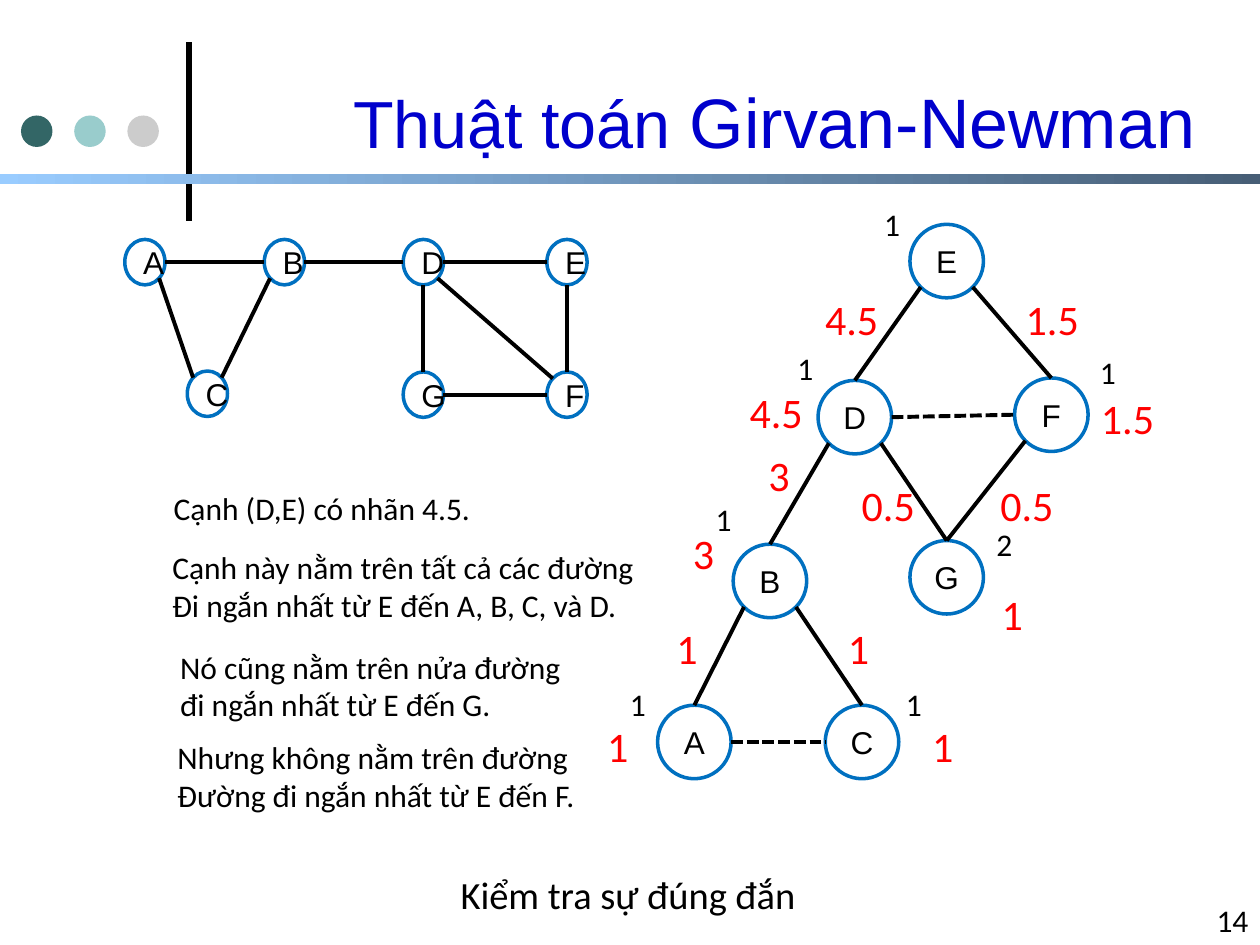
from pptx import Presentation
from pptx.dml import color
from pptx.enum import dml, shapes, text
from pptx.oxml import ns
from pptx.util import Pt
from lxml import etree

COLORS = {
    "ink": "000000", "title": "0000CC", "node": "0070C0", "credit": "FF0000",
    "dark_dot": "336666", "mid_dot": "99CCCC", "light_dot": "CCCCCC",
    "bar_start": "99CCFF", "bar_end": "475E76",
}
DIAGONAL = 0.5 ** 0.5
PORTS = {
    "top": (0, -1), "bottom": (0, 1), "left": (-1, 0), "right": (1, 0),
    "top left": (-DIAGONAL, -DIAGONAL), "top right": (DIAGONAL, -DIAGONAL),
    "bottom left": (-DIAGONAL, DIAGONAL), "bottom right": (DIAGONAL, DIAGONAL),
}

NETWORK_SIZE = (23, 26)
NETWORK_NODES = {
    "A": (71.3, 136.8), "D": (230.4, 136.8), "C": (107, 212), "E": (312.5, 136.8),
    "F": (312.5, 212.5), "G": (230.4, 212.5), "B": (151, 136.8),
}
NETWORK_EDGES = [
    ("A", "right", "B", "left"), ("A", "bottom right", "C", "top left"),
    ("C", "top right", "B", "bottom left"), ("B", "right", "D", "left"),
    ("D", "right", "E", "left"), ("D", "bottom", "G", "top"),
    ("E", "bottom", "F", "top"), ("G", "right", "F", "left"),
    ("D", "bottom right", "F", "top left"),
]

TREE_SIZE = (42, 42)
TREE_NODES = {
    "A": (375.8, 403), "D": (467.5, 217.4), "C": (471.6, 403), "E": (520, 128.2),
    "F": (579.8, 216), "G": (520, 308.9), "B": (419, 311),
}
TREE_EDGES = [
    ("E", "bottom left", "D", "top"), ("E", "bottom right", "F", "top"),
    ("D", "bottom right", "G", "top"), ("F", "bottom left", "G", "top"),
    ("D", "bottom left", "B", "top"), ("B", "bottom left", "A", "top"),
    ("B", "bottom right", "C", "top"),
]
SAME_LEVEL_EDGES = [("D", "right", "F", "left"), ("A", "right", "C", "left")]

PATH_COUNTS = [
    ("1", 498.2, 113.8), ("1", 510.5, 388), ("1", 448.6, 195.8), ("1", 621.4, 198),
    ("2", 562.3, 296.6), ("1", 401.8, 282.2), ("1", 352.8, 388),
]
CREDITS = [
    ("4.5", 421.2, 217.4), ("1.5", 622, 221), ("4.5", 464.4, 164.2), ("1.5", 579, 164.2),
    ("1", 339.8, 408.2), ("1", 565.2, 332.6), ("1", 525.6, 408.2), ("1", 379.4, 352),
    ("1", 477.4, 352), ("3", 388.8, 298), ("3", 432, 253.4), ("0.5", 485.3, 270.7),
    ("0.5", 564.5, 270.7),
]
NOTES = [
    ("Cạnh (D,E) có nhãn 4.5.", 92.2, 275.8, 184.3),
    ("Cạnh này nằm trên tất cả các đường\nĐi ngắn nhất từ E đến A, B, C, và D.", 91.4, 309.6, 279.4),
    ("Nó cũng nằm trên nửa đường\nđi ngắn nhất từ E đến G.", 95.8, 366.5, 236.2),
    ("Nhưng không nằm trên đường\nĐường đi ngắn nhất từ E đến F.", 94.3, 418.3, 243.4),
]


def rgb(name):
    return color.RGBColor.from_string(COLORS[name])


def set_text(frame, content, size=18, font="Calibri", ink="ink", align="LEFT",
             anchor="TOP", wrap=True, grow=False):
    """Write one paragraph per line, and one run per tab-free part."""
    frame.word_wrap = wrap
    frame.auto_size = text.MSO_AUTO_SIZE.SHAPE_TO_FIT_TEXT if grow else text.MSO_AUTO_SIZE.NONE
    frame.vertical_anchor = text.MSO_ANCHOR[anchor]
    parts = [(content, size)] if isinstance(content, str) else content
    paragraph = frame.paragraphs[0]
    for part, part_size in parts:
        for index, line in enumerate(part.split("\n")):
            if index:
                paragraph = frame.add_paragraph()
            paragraph.alignment = text.PP_ALIGN[align]
            run = paragraph.add_run()
            run.text = line
            run.font.size = Pt(part_size)
            run.font.name = font
            run.font.color.rgb = rgb(ink)


def add_text(slide, content, left, top, width, height, **formats):
    box = slide.shapes.add_textbox(Pt(left), Pt(top), Pt(width), Pt(height))
    set_text(box.text_frame, content, **formats)


def add_label(slide, content, left, top, size, ink):
    width = size * (0.53 * len(content.replace(".", "")) + 0.25 * content.count(".")) + 14.4
    add_text(slide, content, left, top, width, size * 1.2 + 7.2,
             size=size, ink=ink, wrap=False, grow=True)


def add_shape(container, kind, left, top, width, height):
    shape = container.add_shape(kind, Pt(left), Pt(top), Pt(width), Pt(height))
    shape.shadow.inherit = False
    return shape


def add_line(container, start, end, width=2.25, dashed=False):
    line = container.add_connector(shapes.MSO_CONNECTOR.STRAIGHT,
                                   *(Pt(value) for value in (*start, *end)))
    line.line.color.rgb = rgb("ink")
    line.line.width = Pt(width)
    if dashed:
        line.line.dash_style = dml.MSO_LINE.SQUARE_DOT
    etree.SubElement(line._element.spPr, ns.qn("a:effectLst"))


def add_node(container, name, left, top, width, height):
    node = add_shape(container, shapes.MSO_SHAPE.OVAL, left, top, width, height)
    node.fill.background()
    node.line.color.rgb = rgb("node")
    node.line.width = Pt(2)
    set_text(node.text_frame, name, font="Arial", align="CENTER", anchor="MIDDLE")


def port_point(corner, size, port):
    """Point on an oval's outline in the direction of the port."""
    return [start + length / 2 * (1 + step)
            for start, length, step in zip(corner, size, PORTS[port])]


def add_graph(slide, nodes, size, edges, dashed_edges=()):
    container = slide.shapes.add_group_shape().shapes
    for name, corner in nodes.items():
        add_node(container, name, *corner, *size)
    for group, dashed in ((edges, False), (dashed_edges, True)):
        for source, source_port, target, target_port in group:
            add_line(container, port_point(nodes[source], size, source_port),
                     port_point(nodes[target], size, target_port), dashed=dashed)


def add_decoration(slide):
    add_line(slide.shapes, (108, 126), (108, 24), width=3)
    for index, name in enumerate(("dark_dot", "mid_dot", "light_dot")):
        dot = add_shape(slide.shapes, shapes.MSO_SHAPE.OVAL, 12 + 30.4 * index, 66, 18, 18)
        dot.fill.solid()
        dot.fill.fore_color.rgb = rgb(name)
        dot.line.fill.background()
    bar = add_shape(slide.shapes, shapes.MSO_SHAPE.RECTANGLE, 0, 99.4, 720, 5.8)
    bar.fill.gradient()
    bar.fill.gradient_angle = 0
    for stop, position, name in zip(bar.fill.gradient_stops, (0, 1), ("bar_start", "bar_end")):
        stop.position = position
        stop.color.rgb = rgb(name)
    bar.line.fill.background()


def main():
    presentation = Presentation()
    presentation.slide_width, presentation.slide_height = Pt(720), Pt(540)
    slide = presentation.slides.add_slide(presentation.slide_layouts[6])

    add_decoration(slide)
    add_text(slide, [("Thuật toán ", 38), ("Girvan-Newman", 40)], 120, 24.5, 570, 89.3,
             font="Arial", ink="title", align="RIGHT", anchor="MIDDLE")
    add_text(slide, "14", 619, 504, 101.5, 36, align="RIGHT", anchor="BOTTOM")
    add_text(slide, "Kiểm tra sự đúng đắn", 81.4, 494, 555, 33.8,
             size=22, align="CENTER", grow=True)

    add_graph(slide, NETWORK_NODES, NETWORK_SIZE, NETWORK_EDGES)
    add_graph(slide, TREE_NODES, TREE_SIZE, TREE_EDGES, SAME_LEVEL_EDGES)
    for count, left, top in PATH_COUNTS:
        add_label(slide, count, left, top, 18, "ink")
    for credit, left, top in CREDITS:
        add_label(slide, credit, left, top, 24, "credit")
    for note, left, top, width in NOTES:
        add_text(slide, note, left, top, width, 7.2 + 21.6 * (note.count("\n") + 1),
                 wrap=False, grow=True)

    presentation.save("out.pptx")


if __name__ == "__main__":
    main()
